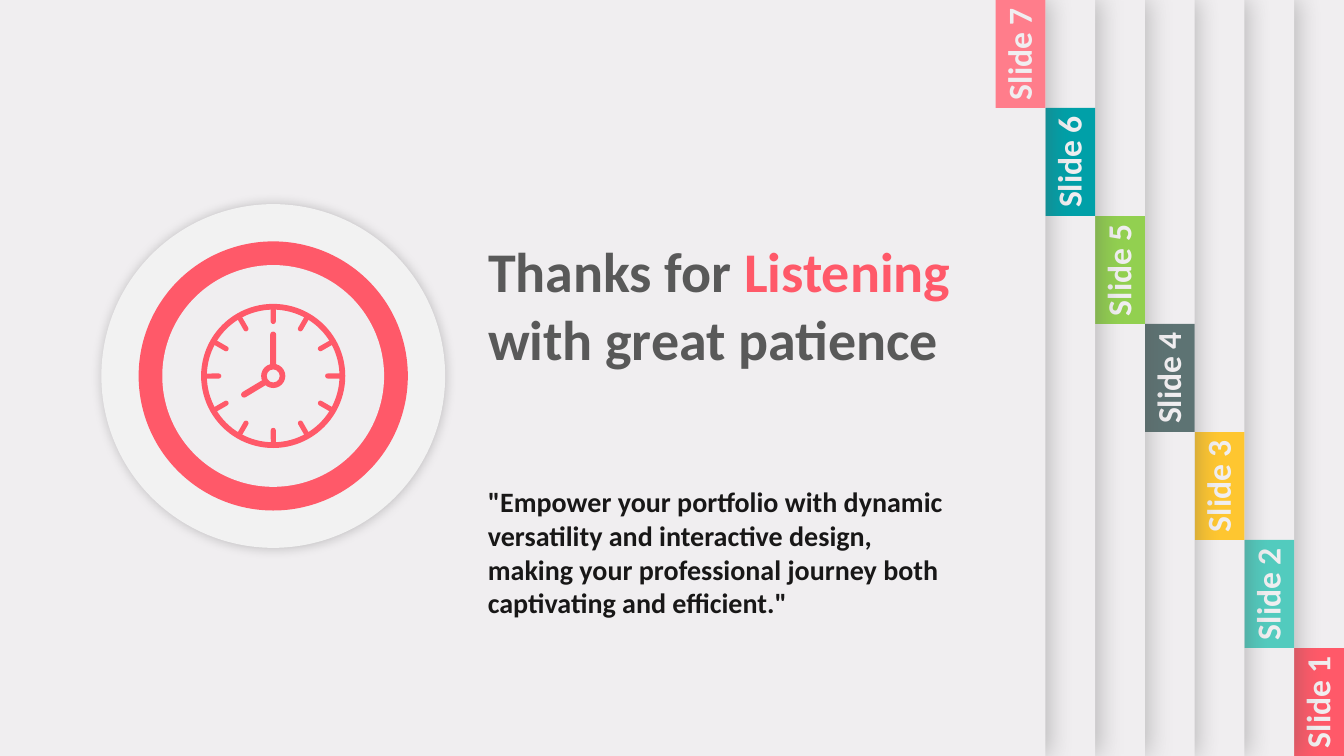
from dataclasses import dataclass
from math import cos, radians, sin
from typing import Optional

from lxml.etree import SubElement
from pptx import Presentation
from pptx.dml.color import RGBColor
from pptx.enum.shapes import MSO_SHAPE as Preset
from pptx.enum.text import MSO_ANCHOR as Anchor, MSO_AUTO_SIZE as AutoSize, PP_ALIGN as Align
from pptx.oxml.ns import qn
from pptx.util import Inches, Pt

WIDTH, HEIGHT = 13.33, 7.5
PAPER, CORAL, GREY, INK, DISC = "F0EEF0", "FF5969", "595959", "181717", "F2F2F2"
TAB_COLORS = [CORAL, "52CBBE", "FEC630", "5D7373", "92D050", "00A0A8", "FF7D8B"]
COLUMNS = 27
COLUMN, ROW = WIDTH / COLUMNS, HEIGHT / len(TAB_COLORS)
PANEL_WIDTH = 13.65
LABEL_WIDTH, LABEL_HEIGHT = 1.19, 0.5
TEXT_LEFT, TEXT_WIDTH = 4.74, 4.82
CLOCK_X, CLOCK_Y = 2.71, 3.73
TICK_RADIUS, TICK_COUNT = 0.6, 12


@dataclass
class Box:
    left: float
    top: float
    width: float
    height: float

    def inches(self):
        return [Inches(value) for value in (self.left, self.top, self.width, self.height)]


@dataclass
class Shadow:
    color: str
    opacity: int
    blur: float
    distance: float


@dataclass
class Part:
    preset: Preset
    box: Box
    color: str
    rotation: float = 0
    adjustments: tuple = ()
    shadow: Optional[Shadow] = None


def centered(x: float, y: float, width: float, height: float) -> Box:
    return Box(x - width / 2, y - height / 2, width, height)


def rgb(color: str) -> RGBColor:
    return RGBColor.from_string(color)


def add_part(shapes, part: Part) -> None:
    shape = shapes.add_shape(part.preset, *part.box.inches())
    shape.fill.solid()
    shape.fill.fore_color.rgb = rgb(part.color)
    shape.line.fill.background()
    shape.rotation = part.rotation
    for index, value in enumerate(part.adjustments):
        shape.adjustments[index] = value
    shape.shadow.inherit = False
    if part.shadow:
        effects = shape.element.spPr.find(qn("a:effectLst"))
        outer = SubElement(effects, qn("a:outerShdw"), blurRad=str(Pt(part.shadow.blur)),
                           dist=str(Pt(part.shadow.distance)), dir="0",
                           algn="ctr", rotWithShape="0")
        color = SubElement(outer, qn("a:srgbClr"), val=part.shadow.color)
        SubElement(color, qn("a:alpha"), val=str(part.shadow.opacity * 1000))


def write(shape, runs: list, size: float, align: Align = Align.LEFT) -> None:
    """Fill a text shape with (text, colour) runs in one bold paragraph."""
    frame = shape.text_frame
    frame.word_wrap = True
    frame.auto_size = AutoSize.NONE
    frame.vertical_anchor = Anchor.TOP
    paragraph = frame.paragraphs[0]
    paragraph.alignment = align
    paragraph.line_spacing = 1.0
    paragraph.font.name, paragraph.font.size, paragraph.font.bold = "Calibri", Pt(size), True
    for text, color in runs:
        run = paragraph.add_run()
        run.text = text
        run.font.color.rgb = rgb(color)


def add_panel(shapes, index: int, color: str) -> None:
    """Draw a sheet whose tab sits one column left and one row up from the last."""
    column, row = COLUMNS - 1 - index, len(TAB_COLORS) - 1 - index
    tab = Box(column * COLUMN, row * ROW, COLUMN, ROW)
    sheet = Box(tab.left + COLUMN - PANEL_WIDTH, 0, PANEL_WIDTH, HEIGHT)
    group = shapes.add_group_shape().shapes
    add_part(group, Part(Preset.RECTANGLE, sheet, PAPER, shadow=Shadow(GREY, 35, 17, 3)))
    add_part(group, Part(Preset.RECTANGLE, tab, color))
    label_box = centered(tab.left + COLUMN / 2 - 0.02, tab.top + ROW / 2,
                         LABEL_WIDTH, LABEL_HEIGHT)
    label = group.add_textbox(*label_box.inches())
    label.rotation = 270
    write(label, [(f"Slide {index + 1}", PAPER)], 24, Align.CENTER)


def add_clock(shapes) -> None:
    group = shapes.add_group_shape().shapes
    for hour in range(TICK_COUNT):
        angle = 360 / TICK_COUNT * hour
        box = centered(CLOCK_X + TICK_RADIUS * sin(radians(angle)),
                       CLOCK_Y - TICK_RADIUS * cos(radians(angle)), 0.05, 0.17)
        add_part(group, Part(Preset.ROUNDED_RECTANGLE, box, CORAL, angle, (0.5,)))
    # Rim and hub
    for diameter, thickness in ((1.43, 0.04), (0.24, 0.23)):
        box = centered(CLOCK_X, CLOCK_Y, diameter, diameter)
        add_part(group, Part(Preset.DONUT, box, CORAL, adjustments=(thickness,)))
    # Hour and minute hands
    for box, angle in ((Box(2.49, 3.71, 0.06, 0.29), 239), (Box(2.68, 3.29, 0.06, 0.34), 0)):
        add_part(group, Part(Preset.ROUND_2_SAME_RECTANGLE, box, CORAL, angle, (0.5, 0)))


presentation = Presentation()
presentation.slide_width, presentation.slide_height = Inches(WIDTH), Inches(HEIGHT)
slide = presentation.slides.add_slide(presentation.slide_layouts[5])
slide.background.fill.solid()
slide.background.fill.fore_color.rgb = rgb(PAPER)
shapes = slide.shapes

# Stacked sheets with their tabs
for index, color in enumerate(TAB_COLORS):
    add_panel(shapes, index, color)

# Title, brought in front of the sheets
title = shapes.title
title.left, title.top, title.width, title.height = Box(TEXT_LEFT, 2.3, TEXT_WIDTH, 2.12).inches()
write(title, [("Thanks for ", GREY), ("Listening ", CORAL), ("with great patience", GREY)], 40)
title.element.getparent().append(title.element)

# Closing quote
quote = shapes.add_textbox(*Box(TEXT_LEFT, 4.42, TEXT_WIDTH, 1.78).inches())
write(quote, [('"Empower your portfolio with dynamic versatility and interactive design, '
               'making your professional journey both captivating and efficient."', INK)], 20)
quote.text_frame.margin_top = Inches(0.39)

# Clock on its discs
for diameter, color, shadow in ((3.41, DISC, Shadow("000000", 20, 8, 0)),
                                (2.67, CORAL, None), (2.2, PAPER, None)):
    add_part(shapes, Part(Preset.OVAL, centered(CLOCK_X, CLOCK_Y, diameter, diameter),
                          color, shadow=shadow))
add_clock(shapes)

presentation.save("out.pptx")
